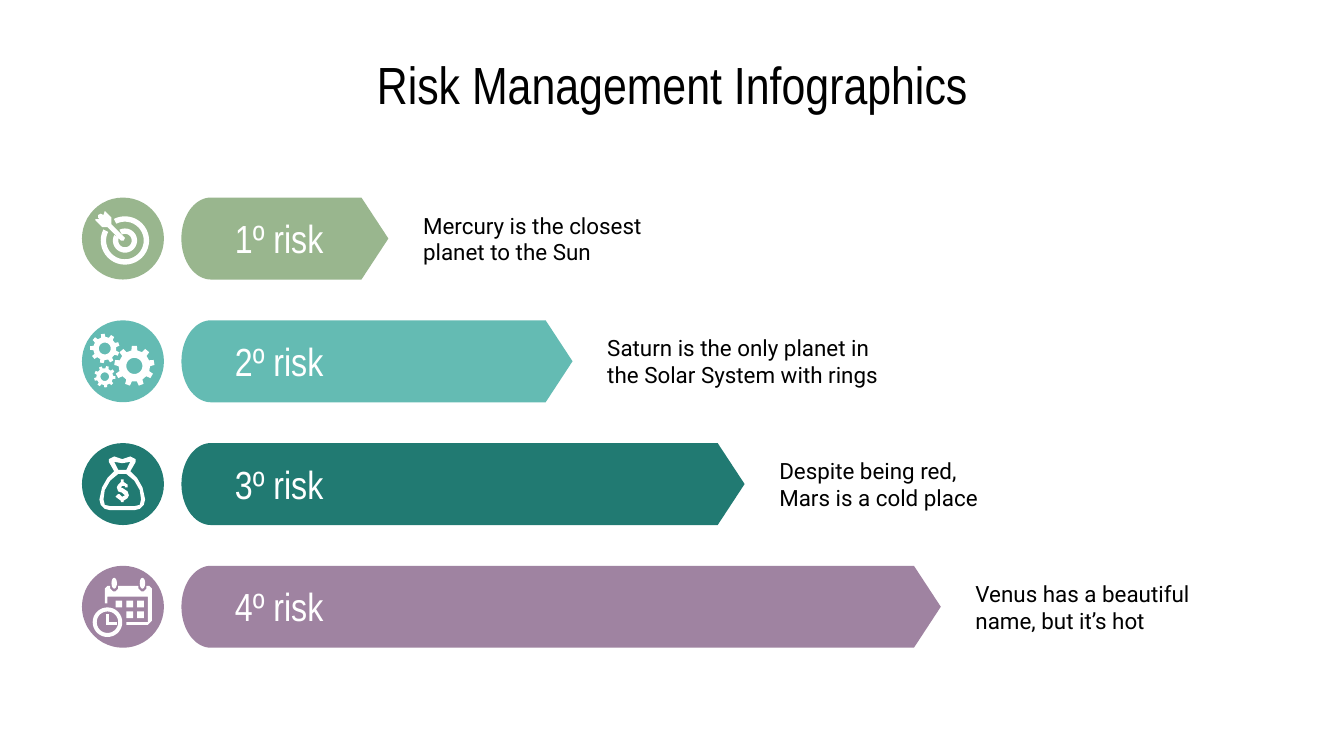
import dataclasses
import math

import pptx
import pptx.dml.color
import pptx.enum.shapes
import pptx.enum.text
import pptx.util

Inches = pptx.util.Inches
ALIGN = pptx.enum.text.PP_ALIGN


@dataclasses.dataclass(frozen=True)
class Theme:
    black: str = "000000"
    white: str = "FFFFFF"
    rows: tuple = ("99B68E", "64BBB3", "217A72", "9F83A1")
    head: str = "Arial Narrow"
    body: str = "Roboto"
    title: int = 28
    label: int = 21
    note: int = 12


THEME = Theme()
LEFT, TOP, LAST, SIZE = 0.61, 1.47, 4.21, 0.61
BAR, CAP, TIP = 1.35, 0.22, 0.2
ROWS = (
    ("1º risk", 2.89, "Mercury is the closest planet to the Sun"),
    ("2º risk", 4.26, "Saturn is the only planet in the Solar System with rings"),
    ("3º risk", 5.54, "Despite being red,\vMars is a cold place"),
    ("4º risk", 7.0, "Venus has a beautiful name, but it’s hot"),
)
STEP = (LAST - TOP) / (len(ROWS) - 1)


def color(code):
    return pptx.dml.color.RGBColor.from_string(code)


def paint(shape, code):
    shape.shadow.inherit = False
    shape.fill.solid()
    shape.fill.fore_color.rgb = color(code)
    shape.line.fill.background()


def outline(shapes, loops, code, left=0, top=0):
    pen = None
    for loop in loops:
        points = [(Inches(left + x), Inches(top + y)) for x, y in loop]
        if pen is None:
            pen = shapes.build_freeform(*points[0], scale=1.0)
        else:
            pen.move_to(*points[0])
        pen.add_line_segments(points[1:], close=True)
    paint(pen.convert_to_shape(), code)


def write(slide, text, box, font, size, code, align=ALIGN.LEFT):
    frame = slide.shapes.add_textbox(*map(Inches, box)).text_frame
    edge = Inches(0.1)
    frame.text = text
    part = frame.paragraphs[0]
    styles = (
        (frame, {"word_wrap": True,
                 "vertical_anchor": pptx.enum.text.MSO_ANCHOR.MIDDLE,
                 "margin_left": edge, "margin_right": edge,
                 "margin_top": edge, "margin_bottom": edge}),
        (part, {"alignment": align}),
        (part.font, {"name": font, "size": pptx.util.Pt(size)}),
        (part.font.color, {"rgb": color(code)}),
    )
    for item, style in styles:
        for key, value in style.items():
            setattr(item, key, value)


def arc(x, y, wide, high, start=0, end=360, count=36):
    turns = [math.radians(start + (end - start) * i / count) for i in range(count + 1)]
    return [(x + wide * math.cos(t), y + high * math.sin(t)) for t in turns]


def rect(x, y, wide, high):
    return [(x, y), (x + wide, y), (x + wide, y + high), (x, y + high)]


def ring(x, y, outer, inner):
    return [arc(x, y, outer, outer), arc(x, y, inner, inner)]


def gear(x, y, size, turn, teeth=9):
    points = []
    for i in range(teeth):
        for shift, ratio in ((-0.27, 0.78), (-0.18, 1), (0.18, 1), (0.27, 0.78)):
            angle = math.radians(turn + 360 * (i + shift) / teeth)
            points.append((x + size * ratio * math.cos(angle),
                           y + size * ratio * math.sin(angle)))
    return [points, arc(x, y, size * 0.4, size * 0.4)]


def mirror(half, axis=0.3):
    return half + [(2 * axis - x, y) for x, y in reversed(half)]


def target():
    bands = [[arc(0.32, 0.32, far, far, -117, 207) + arc(0.32, 0.32, near, near, 207, -117)]
             for far, near in ((0.18, 0.14), (0.09, 0.05))]
    dart = [(0.17, 0.1), (0.16, 0.13), (0.14, 0.12), (0.12, 0.13), (0.12, 0.15),
            (0.13, 0.16), (0.1, 0.16), (0.1, 0.17), (0.15, 0.22), (0.19, 0.22),
            (0.29, 0.32), (0.31, 0.32), (0.32, 0.3), (0.22, 0.2), (0.22, 0.15)]
    return bands + [[dart]]


def gears():
    return [gear(0.39, 0.34, 0.15, -90), gear(0.17, 0.21, 0.11, -98),
            gear(0.17, 0.42, 0.08, -75)]


def bag():
    skin = [(0.3, 0.12), (0.36, 0.1), (0.4, 0.12), (0.4, 0.14), (0.36, 0.21),
            (0.41, 0.26), (0.45, 0.33), (0.47, 0.42), (0.46, 0.46), (0.43, 0.49), (0.39, 0.5)]
    hole = [(0.33, 0.23), (0.39, 0.28), (0.43, 0.35), (0.44, 0.42), (0.43, 0.46), (0.39, 0.47)]
    neck = [(0.3, 0.15), (0.36, 0.14), (0.33, 0.2)]
    coin = [(0.29, 0.27), (0.29, 0.29), (0.27, 0.31), (0.26, 0.33), (0.27, 0.36),
            (0.3, 0.37), (0.32, 0.39), (0.3, 0.4), (0.28, 0.38), (0.27, 0.38),
            (0.25, 0.4), (0.29, 0.43), (0.29, 0.44), (0.31, 0.44), (0.31, 0.43),
            (0.34, 0.41), (0.35, 0.39), (0.34, 0.36), (0.31, 0.34), (0.29, 0.33),
            (0.3, 0.32), (0.32, 0.32), (0.32, 0.33), (0.34, 0.33), (0.34, 0.31),
            (0.31, 0.29), (0.31, 0.27)]
    return [[mirror(skin), mirror(hole), mirror(neck)], [coin]]


def dates():
    page = [(0.17, 0.28), (0.17, 0.17), (0.19, 0.15)]
    for x in (0.21, 0.42):
        page += [(x, 0.15), (x, 0.17), (x + 0.02, 0.19), (x + 0.04, 0.19),
                 (x + 0.06, 0.17), (x + 0.06, 0.15)]
    page += [(0.5, 0.15), (0.52, 0.17), (0.52, 0.41), (0.49, 0.44), (0.33, 0.44),
             (0.33, 0.42), (0.49, 0.42), (0.49, 0.23), (0.19, 0.23), (0.19, 0.28)]
    cells = [rect(0.25 + 0.08 * col, 0.26 + 0.08 * row, 0.05, 0.05)
             for row in range(2) for col in range(row, 3)]
    pins = [arc(x, 0.13, 0.02, 0.04) for x in (0.24, 0.45)]
    hand = [(0.18, 0.36), (0.2, 0.36), (0.2, 0.42), (0.26, 0.42), (0.26, 0.44), (0.18, 0.44)]
    return [[page] + cells + pins + ring(0.19, 0.42, 0.11, 0.08) + [hand]]


def row(slide, top, code, icon, label, end, note):
    mid = top + SIZE / 2
    bar = arc(BAR + CAP, mid, CAP, SIZE / 2, 270, 90)
    bar += [(end - TIP, top + SIZE), (end, mid), (end - TIP, top)]
    outline(slide.shapes, [bar], code)
    oval = pptx.enum.shapes.MSO_SHAPE.OVAL
    paint(slide.shapes.add_shape(oval, *map(Inches, (LEFT, top, SIZE, SIZE))), code)
    group = slide.shapes.add_group_shape()
    for loops in icon:
        outline(group.shapes, loops, THEME.white, LEFT, top)
    write(slide, label, (1.65, top + 0.15, 1.46, 0.3), THEME.head, THEME.label, THEME.white)
    write(slide, note, (end + 0.16, top + 0.1, 2.23, 0.41), THEME.body, THEME.note, THEME.black)


def main():
    deck = pptx.Presentation()
    deck.slide_width = Inches(10)
    deck.slide_height = deck.slide_width * 9 // 16
    slide = deck.slides.add_slide(deck.slide_layouts[6])
    write(slide, "Risk Management Infographics", (0.5, 0.45, 9, 0.35),
          THEME.head, THEME.title, THEME.black, ALIGN.CENTER)
    icons = (target(), gears(), bag(), dates())
    for i, (code, icon, data) in enumerate(zip(THEME.rows, icons, ROWS)):
        row(slide, TOP + i * STEP, code, icon, *data)
    deck.save("out.pptx")


if __name__ == "__main__":
    main()
